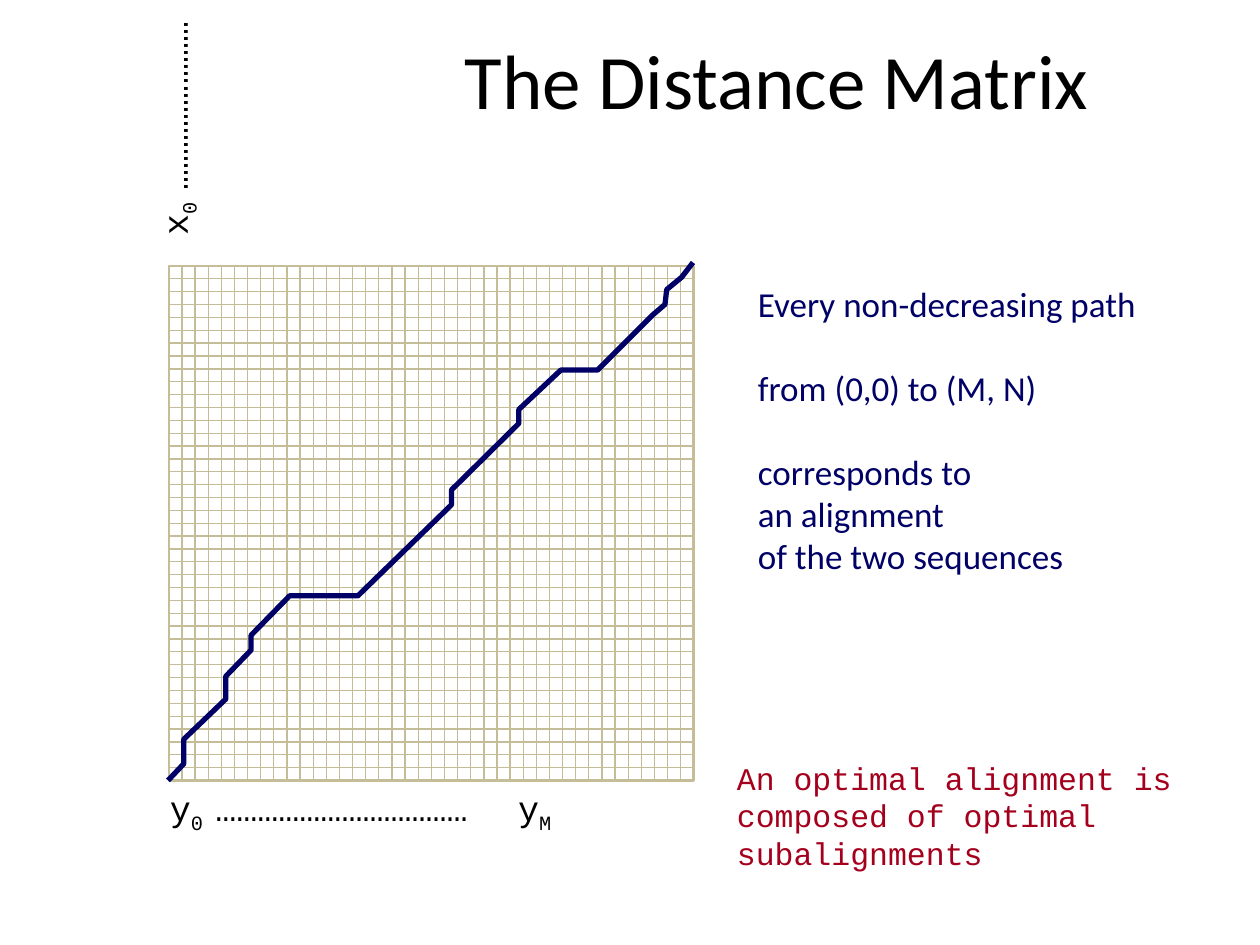
from lxml.etree import SubElement
from pptx import Presentation
from pptx.dml.color import RGBColor
from pptx.enum.shapes import MSO_CONNECTOR, MSO_SHAPE
from pptx.enum.text import MSO_ANCHOR, PP_ALIGN
from pptx.oxml.ns import qn
from pptx.util import Pt

BLACK = RGBColor(0x00, 0x00, 0x00)
NAVY = RGBColor(0x00, 0x00, 0x66)
RED = RGBColor(0xA4, 0x00, 0x1D)
TAN = RGBColor(0xC4, 0xBD, 0x97)
CELLS = 40
ROUTE = [
    (299.5, -2), (293, 6.5), (284.5, 13.5), (283.5, 22), (276.5, 28),
    (245, 59.5), (224, 59.5), (200, 82), (200, 90), (161.5, 128),
    (161.5, 136.5), (108, 188.5), (69, 188.5), (47, 211), (47, 219.5),
    (32.5, 234.5), (32.5, 247.5), (8.5, 270.5), (8.5, 284.5), (-0.5, 294),
]


def add_box(slide, box):
    """Add a wrapping text box and return it."""
    shape = slide.shapes.add_textbox(*map(Pt, box))
    shape.text_frame.word_wrap = True
    return shape


def add_run(para, text, face, size, color, sub=False):
    """Add one styled run, lowered when it is a subscript."""
    run = para.add_run()
    run.text = text
    run.font.name = face
    run.font.size = Pt(size)
    run.font.color.rgb = color
    if sub:
        run.font._element.set("baseline", "-25000")


def add_title(slide, box):
    """Place the centred slide title."""
    frame = add_box(slide, box).text_frame
    frame.vertical_anchor = MSO_ANCHOR.MIDDLE
    para = frame.paragraphs[0]
    para.alignment = PP_ALIGN.CENTER
    add_run(para, "The Distance Matrix", "Calibri", 44, BLACK)


def add_rule(slide, *ends):
    """Draw one thin grid line."""
    rule = slide.shapes.add_connector(MSO_CONNECTOR.STRAIGHT, *map(Pt, ends))
    rule.line.color.rgb = TAN
    rule.line.width = Pt(0.75)
    SubElement(rule._element.spPr, qn("a:effectLst"))


def add_grid(slide, box):
    """Draw the matrix frame and its evenly spaced lines."""
    left, top, width, height = box
    frame = slide.shapes.add_shape(MSO_SHAPE.RECTANGLE, *map(Pt, box))
    frame.shadow.inherit = False
    frame.fill.background()
    frame.line.color.rgb = TAN
    frame.line.width = Pt(1.5)
    for i in range(1, CELLS):
        y = top + i * height / CELLS
        add_rule(slide, left, y, left + width, y)
    for i in range(1, CELLS):
        x = left + i * width / CELLS
        add_rule(slide, x, top + height, x, top)


def add_route(slide, box):
    """Trace the alignment path over the matrix."""
    left, top = box[:2]
    first, *rest = [(Pt(left + x), Pt(top + y)) for x, y in ROUTE]
    pen = slide.shapes.build_freeform(*first)
    pen.add_line_segments(rest, close=False)
    route = pen.convert_to_shape()
    route.shadow.inherit = False
    route.fill.background()
    route.line.color.rgb = NAVY
    route.line.width = Pt(3)


def add_axis(slide, box, parts, turn=0, stop=None):
    """Place an axis label, with every second part as a subscript."""
    shape = add_box(slide, box)
    shape.rotation = turn
    para = shape.text_frame.paragraphs[0]
    if stop:
        tabs = SubElement(para._p.get_or_add_pPr(), qn("a:tabLst"))
        SubElement(tabs, qn("a:tab"), pos=str(Pt(stop)), algn="l")
    for i, part in enumerate(parts):
        add_run(para, part, "Courier New", 20, BLACK, sub=i % 2 == 1)


def add_note(slide, box, lines, face, size, color):
    """Place a note, given as pairs of line and space after it."""
    frame = add_box(slide, box).text_frame
    for i, (text, gap) in enumerate(lines):
        para = frame.add_paragraph() if i else frame.paragraphs[0]
        para.space_after = Pt(gap)
        add_run(para, text, face, size, color)


def main():
    """Build the slide and save it."""
    deck = Presentation()
    deck.slide_width, deck.slide_height = Pt(720), Pt(540)
    slide = deck.slides.add_slide(deck.slide_layouts[6])
    grid = (96.5, 152, 300, 294)
    add_title(slide, (138, 0, 612, 90))
    add_grid(slide, grid)
    add_route(slide, grid)
    add_axis(slide, (90, 446, 312, 31.5),
             ["y", "0 ", "…" * 12 + "\ty", "M"], stop=199)
    add_axis(slide, (28.5, 55, 142, 31.5), ["x", "0 ", "…" * 8], turn=270)
    path = [
        ("Every non-decreasing path", 24),
        ("from (0,0) to (M, N)", 24),
        ("corresponds to", 0),
        ("an alignment", 0),
        ("of the two sequences", 0),
    ]
    add_note(slide, (426, 158, 264, 206), path, "Calibri", 20, NAVY)
    best = [("An optimal alignment is composed of optimal subalignments", 0)]
    add_note(slide, (414, 430, 299.5, 51), best, "Courier New", 18, RED)
    deck.save("out.pptx")


if __name__ == "__main__":
    main()
